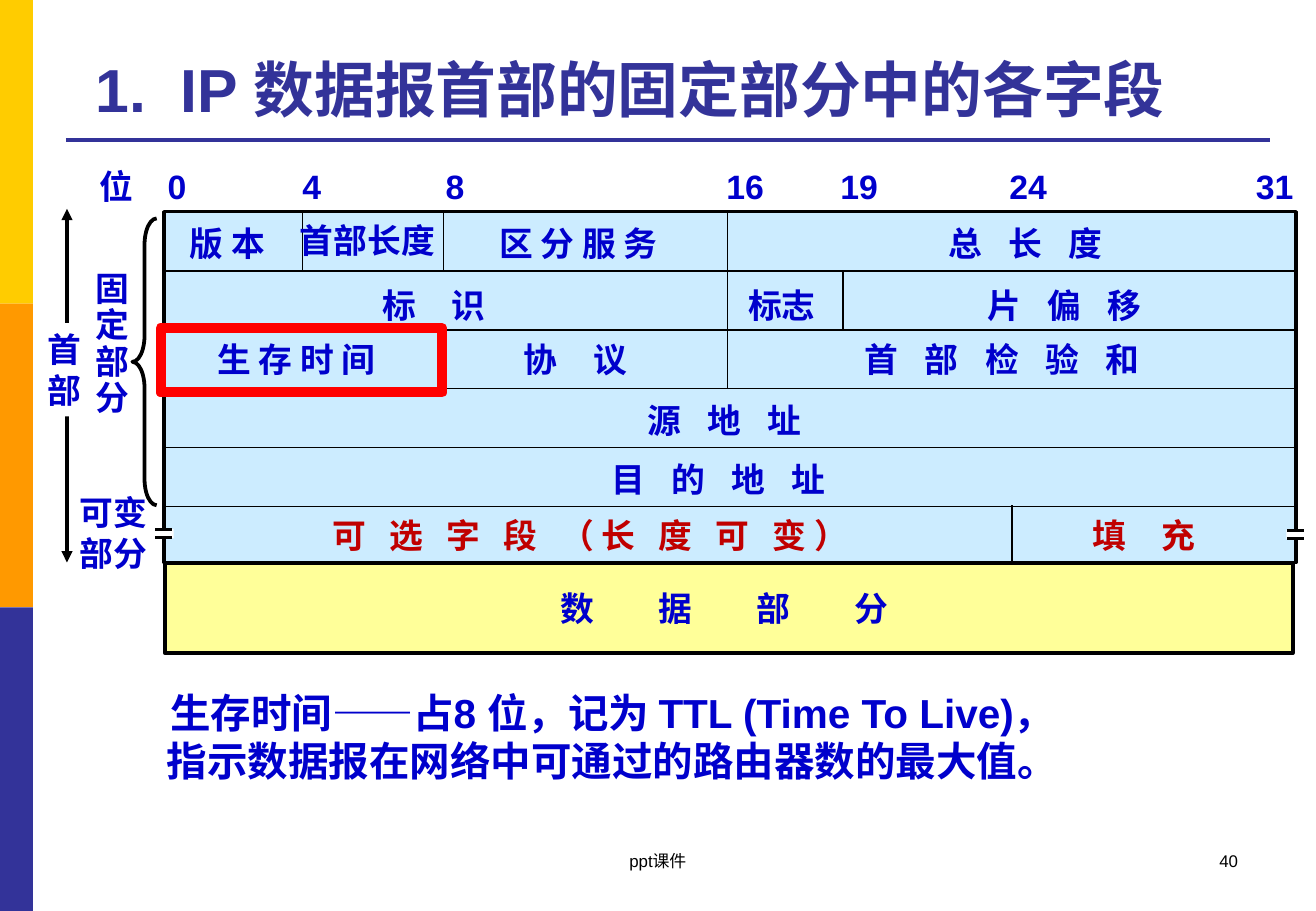
from lxml import etree
from pptx import Presentation
from pptx.dml.color import RGBColor
from pptx.enum.shapes import MSO_CONNECTOR, MSO_SHAPE
from pptx.enum.text import MSO_ANCHOR, PP_ALIGN
from pptx.oxml.ns import qn
from pptx.util import Pt

RECTANGLE = MSO_SHAPE.RECTANGLE
LEFT_BRACE = MSO_SHAPE.LEFT_BRACE
STRAIGHT = MSO_CONNECTOR.STRAIGHT
BOTTOM = MSO_ANCHOR.BOTTOM
LEFT, CENTER, RIGHT = PP_ALIGN.LEFT, PP_ALIGN.CENTER, PP_ALIGN.RIGHT
color = RGBColor.from_string
INDIGO, BLUE, DARK_RED = "333399", "0000CC", "C00000"
BLACK, WHITE, RED = "000000", "FFFFFF", "FF0000"

presentation = Presentation()
presentation.slide_width = Pt(780)
presentation.slide_height = Pt(540)
slide = presentation.slides.add_slide(presentation.slide_layouts[5])


def add_shape(kind, left, top, width, height, fill=None, line=None, weight=0):
    shape = slide.shapes.add_shape(kind, Pt(left), Pt(top), Pt(width), Pt(height))
    shape.shadow.inherit = False
    if fill:
        shape.fill.solid()
        shape.fill.fore_color.rgb = color(fill)
    else:
        shape.fill.background()
    if line:
        shape.line.color.rgb = color(line)
        shape.line.width = Pt(weight)
    else:
        shape.line.fill.background()
    return shape


def add_text(text, left, top, width, height=31, size=20, ink=BLUE, bold=True,
             align=LEFT, wrap=False, tracking=0, line_spacing=None):
    shape = slide.shapes.add_textbox(Pt(left), Pt(top), Pt(width), Pt(height))
    shape.text_frame.word_wrap = wrap
    shape.text_frame.text = text
    for paragraph in shape.text_frame.paragraphs:
        paragraph.alignment = align
        paragraph.line_spacing = line_spacing
        for run in paragraph.runs:
            run.font.name = "Arial"
            run.font.size = Pt(size)
            run.font.bold = bold
            run.font.color.rgb = color(ink)
            if tracking:
                run.font._element.set("spc", str(round(tracking * 100)))
    return shape


title = slide.shapes.title
title.left, title.top, title.width, title.height = Pt(49.7), Pt(15.1), Pt(713.5), Pt(62.6)
title.text_frame.vertical_anchor = BOTTOM
title_paragraph = title.text_frame.paragraphs[0]
title_paragraph.alignment = LEFT
for text, tracking in [("1.", 0), (" ", 10), ("IP 数据报首部的固定部分中的各字段", 0)]:
    run = title_paragraph.add_run()
    run.text = text
    run.font.name = "Arial"
    run.font.size = Pt(36)
    run.font.bold = True
    run.font.color.rgb = color(INDIGO)
    run.font._element.set("spc", str(tracking * 100))

for index, stripe_color in enumerate(["FFCC00", "FF9900", INDIGO]):
    add_shape(RECTANGLE, 0, index * 180, 19.5, 180, stripe_color)

add_shape(RECTANGLE, 97.2, 125.5, 671, 208, "CCECFF", BLACK, 2)
add_shape(RECTANGLE, 98, 334, 668.2, 53.3, "FFFF99", BLACK, 2.25)

lines = [(39, 82.8, 753, 82.8, INDIGO, 2.25)]
lines += [(96.5, 160.6 + 34.9 * row, 769, 160.6 + 34.9 * row, BLACK, 1) for row in range(5)]
column_lines = [(179.3, 126, 160.6), (262.8, 126, 160.6), (262.8, 196.5, 230.4),
                (431.3, 126, 230.4), (499.7, 161.3, 195.8), (599.8, 299.5, 334.8)]
lines += [(x, top, x, bottom, BLACK, 1) for x, top, bottom in column_lines]
for left, top in [(92, 314), (763, 314.5)]:
    add_shape(RECTANGLE, left - 0.5, top - 0.5, 11.5, 5.5, WHITE)
    lines += [(left, y, left + 10.2, y, BLACK, 2) for y in (top, top + 4.8)]
lines.append((39.7, 123.8, 39.7, 333.4, BLACK, 2.25))

for start_x, start_y, end_x, end_y, ink, weight in lines:
    connector = slide.shapes.add_connector(
        STRAIGHT, Pt(start_x), Pt(start_y), Pt(end_x), Pt(end_y))
    connector.line.color.rgb = color(ink)
    connector.line.width = Pt(weight)
    etree.SubElement(connector._element.spPr, qn("a:effectLst"))

header_arrow_line = connector.line._get_or_add_ln()
for end in ("a:headEnd", "a:tailEnd"):
    etree.SubElement(header_arrow_line, qn(end), type="triangle")

add_text("位", 52, 94.5, 34.4)
for bit, left in [(0, 92.2), (4, 172.1), (8, 257), (16, 423.4),
                  (19, 491), (24, 591.1), (31, 737.3)]:
    add_text(str(bit), left, 95, 37 if bit > 9 else 25.6)

fields = [
    ("版 本", 105.3, 128.3, 60.2, 0, BLUE),
    ("首部长度", 170.6, 126.9, 94.8, 0, BLUE),
    ("区 分 服 务", 288.9, 128.3, 112, 0, BLUE),
    ("总 长 度", 555.1, 128.3, 109, 5.56, BLUE),
    ("标 识", 219.5, 165.5, 77, 8.34, BLUE),
    ("标志", 436.4, 165.5, 54.7, 0, BLUE),
    ("片 偏 移", 578.2, 165.5, 109, 5.56, BLUE),
    ("生 存 时 间", 121.6, 197.4, 112, 0, BLUE),
    ("协 议", 303.4, 197.4, 77, 8.34, BLUE),
    ("首 部 检 验 和", 505.5, 197.4, 183, 5.56, BLUE),
    ("源 地 址", 376.6, 233.4, 109, 5.56, BLUE),
    ("目 的 地 址", 355.2, 268.5, 145.4, 5.56, BLUE),
    ("可 选 字 段 （长 度 可 变）", 190.1, 301.8, 328.3, 4.6, DARK_RED),
    ("填 充", 640.2, 301.8, 77, 8.34, DARK_RED),
    ("数 据 部 分", 325.2, 345, 248.4, 16.7, BLUE),
]
for text, left, top, width, tracking, ink in fields:
    add_text(text, left, top, width, ink=ink, tracking=tracking)

add_text("固\n定\n部\n分", 49.7, 157.7, 34.6, 94.3, line_spacing=0.9)
add_text("可变\n部分", 40.3, 288, 54.7, 55.4)
header_label = add_text("首\n部", 21, 191.5, 34.6, 55.4)
header_label.fill.solid()
header_label.fill.fore_color.rgb = color(WHITE)

brace = add_shape(LEFT_BRACE, 78.5, 129.5, 14.4, 170, None, BLACK, 2.25)
brace.adjustments[0] = 1.08
add_shape(RECTANGLE, 95.2, 194.6, 167, 38, None, RED, 6)

add_text("生存时间——占8 位，记为 TTL (Time To Live)，\n指示数据报在网络中可通过的路由器数的最大值。",
         90, 404, 545.8, 65.5, size=24, align=CENTER, wrap=True)
add_text("ppt课件", 266.4, 500.4, 247, 36, 10, BLACK, False, CENTER, True)
add_text("40", 558.7, 500.4, 182.2, 36, 10, BLACK, False, RIGHT, True)

presentation.save("out.pptx")
